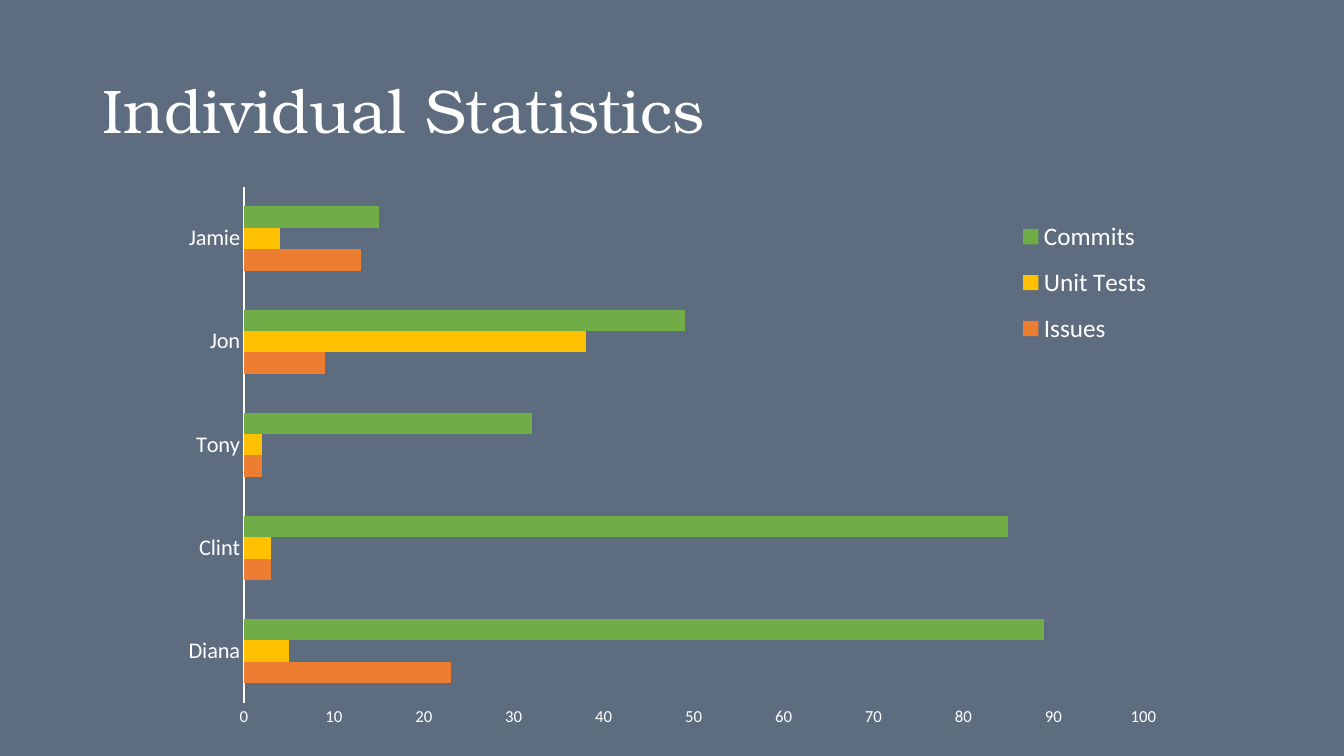
from lxml.etree import SubElement
from pptx import Presentation
from pptx.chart.data import CategoryChartData
from pptx.dml.color import RGBColor
from pptx.enum.chart import XL_CHART_TYPE, XL_LEGEND_POSITION, XL_TICK_MARK
from pptx.enum.text import MSO_ANCHOR, PP_ALIGN
from pptx.oxml.ns import qn
from pptx.util import Inches, Pt

SLATE = RGBColor(0x5D, 0x6C, 0x7F)
WHITE = RGBColor(0xFF, 0xFF, 0xFF)
ORANGE = RGBColor(0xED, 0x7D, 0x31)
YELLOW = RGBColor(0xFF, 0xC0, 0x00)
GREEN = RGBColor(0x70, 0xAD, 0x47)

TITLE = "Individual Statistics"
MEMBERS = ["Diana", "Clint", "Tony", "Jon", "Jamie"]
STATISTICS = [
    ("Issues", ORANGE, (23, 3, 2, 9, 13)),
    ("Unit Tests", YELLOW, (5, 3, 2, 38, 4)),
    ("Commits", GREEN, (89, 85, 32, 49, 15)),
]

# Left, top, width and height in inches; plot and legend are relative to the chart
TITLE_BOX = (0.92, 0.4, 11.5, 1.45)
CHART_BOX = (1.66, 1.85, 9.91, 5.47)
PLOT_BOX = (0.76, 0, 8.92, 5.12)
LEGEND_BOX = (8.4, 0.19, 1.4, 1.52)


def format_font(font, size, name="Calibri"):
    for attribute, value in {"size": Pt(size), "name": name}.items():
        setattr(font, attribute, value)
    font.color.rgb = WHITE


def fill_layout(layout, box, target=None):
    """Fix a chart part at a box given in inches within the chart."""
    for child in list(layout):
        layout.remove(child)
    manual = SubElement(layout, qn("c:manualLayout"))
    values = {"layoutTarget": target} if target else {}
    values.update(xMode="edge", yMode="edge")
    for key, length, whole in zip("xywh", box, CHART_BOX[2:] * 2):
        values[key] = str(round(length / whole, 4))
    for tag, value in values.items():
        SubElement(manual, qn("c:" + tag)).set("val", value)


def add_title(slide):
    title = slide.shapes.title
    title.left, title.top, title.width, title.height = map(Inches, TITLE_BOX)
    title.text_frame.text = TITLE
    title.text_frame.vertical_anchor = MSO_ANCHOR.MIDDLE
    paragraph = title.text_frame.paragraphs[0]
    paragraph.alignment = PP_ALIGN.LEFT
    paragraph.line_spacing = 0.9
    format_font(paragraph.runs[0].font, 44, "TeX Gyre Bonum")


def add_statistics_chart(slide):
    data = CategoryChartData()
    data.categories = MEMBERS
    for name, _, values in STATISTICS:
        data.add_series(name, values)
    chart = slide.shapes.add_chart(
        XL_CHART_TYPE.BAR_CLUSTERED, *map(Inches, CHART_BOX), data).chart
    chart.has_title = False
    format_font(chart.font, 10)

    plot = chart.plots[0]
    plot.gap_width = 182
    plot.overlap = 0
    plot.vary_by_categories = False
    for series, (_, color, _) in zip(plot.series, STATISTICS):
        series.format.fill.solid()
        series.format.fill.fore_color.rgb = color

    for axis, size in ((chart.category_axis, 16), (chart.value_axis, 12)):
        axis.has_major_gridlines = False
        axis.major_tick_mark = axis.minor_tick_mark = XL_TICK_MARK.NONE
        format_font(axis.tick_labels.font, size)
    chart.category_axis.format.line.color.rgb = WHITE
    chart.category_axis.format.line.width = Pt(0.75)
    chart.value_axis.format.line.fill.background()
    for attribute, value in {"minimum_scale": 0, "maximum_scale": 100, "major_unit": 10}.items():
        setattr(chart.value_axis, attribute, value)

    chart.has_legend = True
    legend = chart.legend
    legend.position = XL_LEGEND_POSITION.CORNER
    legend.include_in_layout = True
    format_font(legend.font, 18)

    plot_area = chart.element.find(".//" + qn("c:plotArea"))
    legend_element = chart.element.find(".//" + qn("c:legend"))
    for parent, index, box, target in (
            (plot_area, 0, PLOT_BOX, "inner"), (legend_element, 1, LEGEND_BOX, None)):
        layout = parent.find(qn("c:layout"))
        if layout is None:
            layout = SubElement(parent, qn("c:layout"))
            parent.insert(index, layout)
        fill_layout(layout, box, target)


def main():
    presentation = Presentation()
    presentation.slide_width = Inches(13.33)
    presentation.slide_height = Inches(7.5)
    slide = presentation.slides.add_slide(presentation.slide_layouts[5])
    slide.background.fill.solid()
    slide.background.fill.fore_color.rgb = SLATE
    add_title(slide)
    add_statistics_chart(slide)
    presentation.save("out.pptx")


if __name__ == "__main__":
    main()
